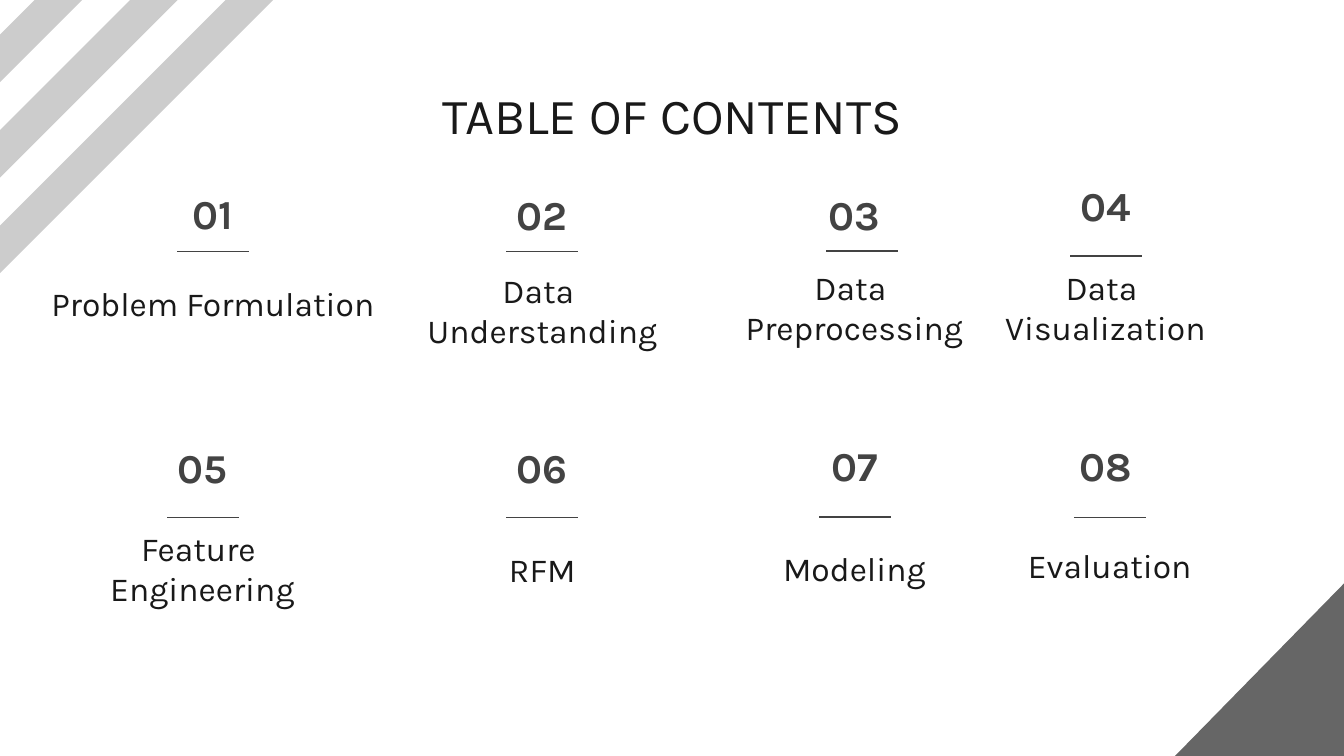
"""Build the table of contents slide with eight numbered sections."""
from lxml.etree import SubElement
from pptx import Presentation
from pptx.dml.color import RGBColor
from pptx.enum.shapes import MSO_CONNECTOR, MSO_SHAPE
from pptx.enum.text import MSO_ANCHOR, PP_ALIGN
from pptx.oxml.ns import qn
from pptx.util import Pt

COLORS = {
    "ink": "191919",
    "accent": "434343",
    "stripe": "CCCCCC",
    "corner": "666666",
}
FRAME = {
    "word_wrap": True,
    "vertical_anchor": MSO_ANCHOR.MIDDLE,
    "margin_left": Pt(7.2),
    "margin_right": Pt(7.2),
    "margin_top": Pt(7.2),
    "margin_bottom": Pt(7.2),
}
FONTS = {
    "heading": {"name": "Karla", "size": Pt(27), "bold": False},
    "number": {"name": "Karla", "size": Pt(22), "bold": True},
    "label": {"name": "Karla", "size": Pt(18), "bold": False},
}

deck = Presentation()
deck.slide_width, deck.slide_height = Pt(720), Pt(405)
slide = deck.slides.add_slide(deck.slide_layouts[6])
shapes = slide.shapes


def add_text(text, role, color, center, top, width, height):
    """Add a text box centred on a given x position."""
    box = shapes.add_textbox(Pt(center - width / 2), Pt(top), Pt(width), Pt(height))
    frame = box.text_frame
    for key, value in FRAME.items():
        setattr(frame, key, value)
    frame.text = text
    for paragraph in frame.paragraphs:
        paragraph.alignment = PP_ALIGN.CENTER
        for key, value in FONTS[role].items():
            setattr(paragraph.font, key, value)
        paragraph.font.color.rgb = RGBColor.from_string(COLORS[color])


def paint(decoration, color):
    """Give a decoration a plain fill without outline or shadow."""
    decoration.shadow.inherit = False
    decoration.fill.solid()
    decoration.fill.fore_color.rgb = RGBColor.from_string(COLORS[color])
    decoration.line.fill.background()


corner = shapes.add_shape(MSO_SHAPE.RIGHT_TRIANGLE, Pt(628.5), Pt(309.5), Pt(96.5), Pt(94.5))
corner.rotation = 270
paint(corner, "corner")

stripe_left, stripe_top, stripe_width, stripe_step = -38, -28, 25.4, 51.1
for index in range(3):
    inner = 18.7 + index * stripe_step
    outer = inner + stripe_width
    outline = [
        (inner - stripe_top, stripe_top),
        (stripe_left, inner - stripe_left),
        (stripe_left, outer - stripe_left),
        (outer - stripe_top, stripe_top),
    ]
    corners = [(Pt(x), Pt(y)) for x, y in outline]
    builder = shapes.build_freeform(*corners[0])
    builder.add_line_segments(corners[1:], close=True)
    paint(builder.convert_to_shape(), "stripe")

add_text("TABLE OF CONTENTS", "heading", "ink", 360, 42.5, 607, 38)

sections = [
    ("Problem Formulation", 114.1, 95, 114.1, 134.6, 114.1, 145.4),
    ("Data \vUnderstanding", 290.5, 95.8, 290.5, 134.6, 290.5, 149),
    ("Data \vPreprocessing", 457.7, 95.5, 461.8, 134.4, 457.7, 147.6),
    ("Data \nVisualization", 592.2, 90.7, 592.5, 137.2, 592.2, 147.6),
    ("Feature \vEngineering", 108.4, 231.1, 108.7, 277.4, 108.4, 287.3),
    ("RFM", 290.5, 231.1, 290.5, 277.2, 290.5, 288),
    ("Modeling", 457.7, 230.4, 458, 277, 457.7, 287.3),
    ("Evaluation", 592.2, 230.4, 594.5, 277.2, 594.5, 285.8),
]
rule_width = 38.4
for number, section in enumerate(sections, 1):
    label, number_x, number_y, rule_x, rule_y, label_x, label_y = section
    add_text(f"{number:02}", "number", "accent", number_x, number_y, 100, 38)
    add_text(label, "label", "ink", label_x, label_y, 195, 34)
    rule = shapes.add_connector(
        MSO_CONNECTOR.STRAIGHT,
        Pt(rule_x - rule_width / 2), Pt(rule_y),
        Pt(rule_x + rule_width / 2), Pt(rule_y),
    )
    rule.line.width = Pt(0.75)
    rule.line.color.rgb = RGBColor.from_string(COLORS["accent"])
    SubElement(rule._element.spPr, qn("a:effectLst"))

deck.save("out.pptx")
